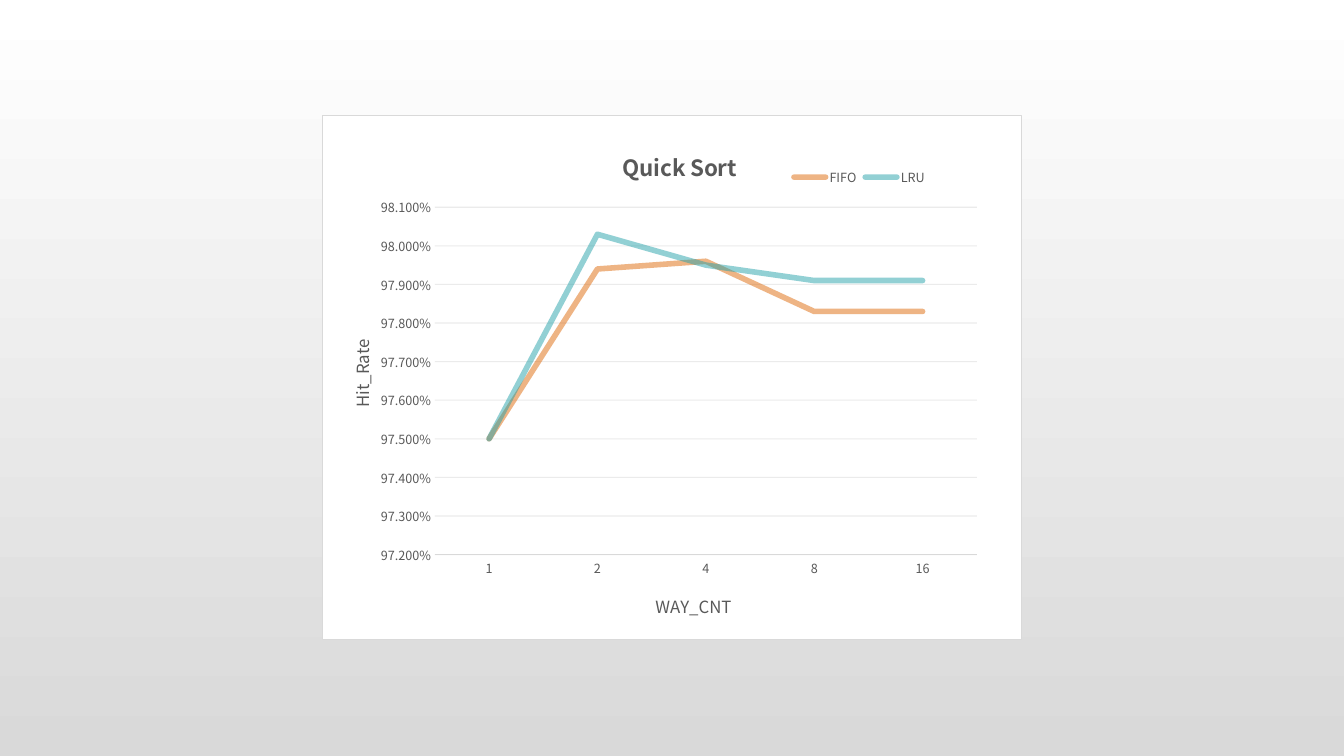
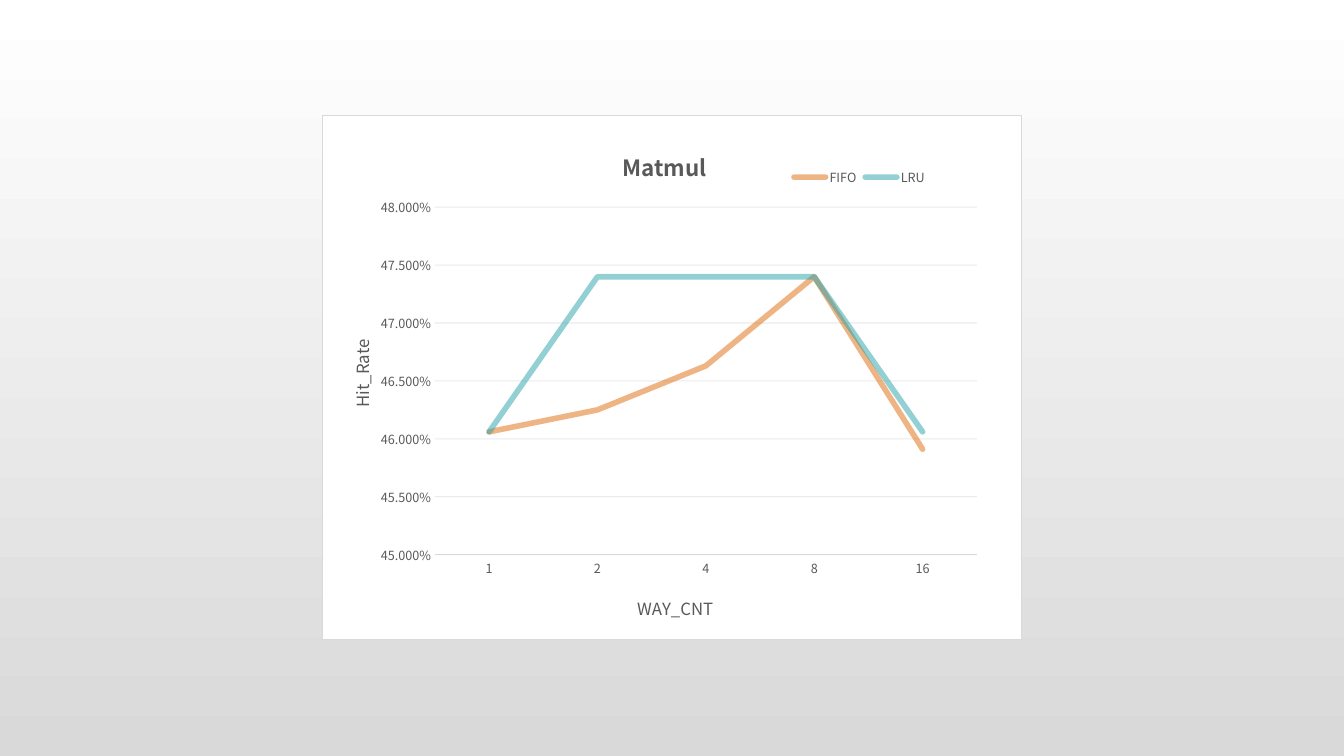
from pptx import Presentation
from pptx.chart.data import CategoryChartData
from pptx.dml.color import RGBColor
from pptx.enum.chart import XL_CHART_TYPE, XL_LEGEND_POSITION, XL_MARKER_STYLE, XL_TICK_MARK
from pptx.oxml import parse_xml
from pptx.oxml.ns import nsdecls
from pptx.util import Cm, Pt

LINE = XL_CHART_TYPE.LINE
BOTTOM = XL_LEGEND_POSITION.BOTTOM
NO_MARK = XL_MARKER_STYLE.NONE
NO_TICK = XL_TICK_MARK.NONE


def color(code):
    return RGBColor.from_string(code)


class Deck:
    face = "Noto Sans CJK SC"
    white, rule, ink = "FFFFFF", "D9D9D9", "595959"
    tints = ("DF6A0B", "26A2AA")
    ways = ("1", "2", "4", "8", "16")

    def __init__(self):
        self.file = Presentation()
        self.file.slide_width = Cm(33.87)
        self.file.slide_height = Cm(19.05)
        self.slide = None

    def page(self):
        self.slide = self.file.slides.add_slide(self.file.slide_layouts[6])
        fill = self.slide.background.fill
        fill.gradient()
        fill.gradient_angle = 270
        for stop, code in zip(fill.gradient_stops, (self.white, self.rule)):
            stop.color.rgb = color(code)

    def font(self, font, size, bold=False, code=ink):
        font.name = self.face
        font.size = Pt(size)
        font.bold = bold
        font.color.rgb = color(code)

    def title(self, owner, text, size, bold=False):
        run = owner.text_frame.paragraphs[0].add_run()
        run.text = text
        self.font(run.font, size, bold)

    def stroke(self, line, code, width, alpha=100):
        line.width = Pt(width)
        line.color.rgb = color(code)
        if alpha < 100:
            tint = line._get_or_add_ln().xpath(".//a:srgbClr")[0]
            tint.append(parse_xml(f'<a:alpha {nsdecls("a")} val="{alpha * 1000}"/>'))

    def place(self, chart, where, inner=False, **box):
        part = chart.element.xpath(where)[0]
        for old in part.xpath("c:layout"):
            part.remove(old)
        tags = '<c:layoutTarget val="inner"/>' if inner else ""
        tags += "".join(f'<c:{key}Mode val="edge"/>' for key in "xy")
        tags += "".join(f'<c:{key} val="{size}"/>' for key, size in box.items())
        node = parse_xml(f'<c:layout {nsdecls("c")}><c:manualLayout>{tags}</c:manualLayout></c:layout>')
        if inner:
            part.insert(0, node)
        else:
            part.xpath("c:overlay")[0].addprevious(node)

    def frame(self, chart):
        chart.element.xpath("c:chart")[0].addnext(parse_xml(
            f'<c:spPr {nsdecls("c", "a")}><a:solidFill><a:srgbClr val="{self.white}"/></a:solidFill>'
            f'<a:ln w="{Pt(0.75)}"><a:solidFill><a:srgbClr val="{self.rule}"/></a:solidFill></a:ln></c:spPr>'))

    def axis(self, axis, text):
        axis.major_tick_mark = axis.minor_tick_mark = NO_TICK
        self.font(axis.tick_labels.font, 9)
        self.title(axis.axis_title, text, 12)

    def chart(self, name, rates, low, high, step, foot):
        data = CategoryChartData(number_format="0.000%")
        data.categories = self.ways
        for label, vals in rates.items():
            data.add_series(label, vals)
        chart = self.slide.shapes.add_chart(
            LINE, Cm(8.11), Cm(2.9), Cm(17.65), Cm(13.23), data).chart
        self.font(chart.font, 10, code="000000")
        self.frame(chart)
        chart.has_title = True
        self.title(chart.chart_title, name, 16, True)
        chart.has_legend = True
        chart.legend.position = BOTTOM
        chart.legend.include_in_layout = False
        self.font(chart.legend.font, 9)

        cats, vals = chart.category_axis, chart.value_axis
        self.axis(cats, "WAY_CNT")
        self.stroke(cats.format.line, self.rule, 0.75)
        self.axis(vals, "Hit_Rate")
        vals.format.line.fill.background()
        vals.minimum_scale, vals.maximum_scale = low, high
        vals.major_unit = step
        vals.tick_labels.number_format = "0.000%"
        vals.tick_labels.number_format_is_linked = False
        vals.has_major_gridlines = True
        self.stroke(vals.major_gridlines.format.line, self.rule, 0.75, 51)
        turn = chart.element.xpath(".//c:valAx/c:title//a:bodyPr")[0]
        turn.set("rot", "-5400000")
        turn.set("vert", "horz")

        for line, code in zip(chart.plots[0].series, self.tints):
            line.smooth = False
            line.marker.style = NO_MARK
            self.stroke(line.format.line, code, 4, 50)
            line.format.line._get_or_add_ln().set("cap", "rnd")

        self.place(chart, "c:chart/c:plotArea", True, x=0.161, y=0.175, w=0.775, h=0.663)
        self.place(chart, "c:chart/c:title", x=0.424, y=0.055)
        self.place(chart, "c:chart/c:legend", x=0.668, y=0.09, w=0.2, h=0.055)
        self.place(chart, ".//c:catAx/c:title", **foot)
        self.place(chart, ".//c:valAx/c:title", x=0.032, y=0.421)


deck = Deck()
deck.page()
deck.chart("Quick Sort", {
    "FIFO": (0.975, 0.9794, 0.9796, 0.9783, 0.9783),
    "LRU": (0.975, 0.9803, 0.9795, 0.9791, 0.9791),
}, 0.972, 0.981, 0.001, {"x": 0.472, "y": 0.902})
deck.page()
deck.chart("Matmul", {
    "FIFO": (0.4606, 0.4625, 0.4663, 0.474, 0.4591),
    "LRU": (0.4606, 0.474, 0.474, 0.474, 0.4606),
}, 0.45, 0.48, 0.005, {"x": 0.446, "y": 0.906})
deck.file.save("out.pptx")
